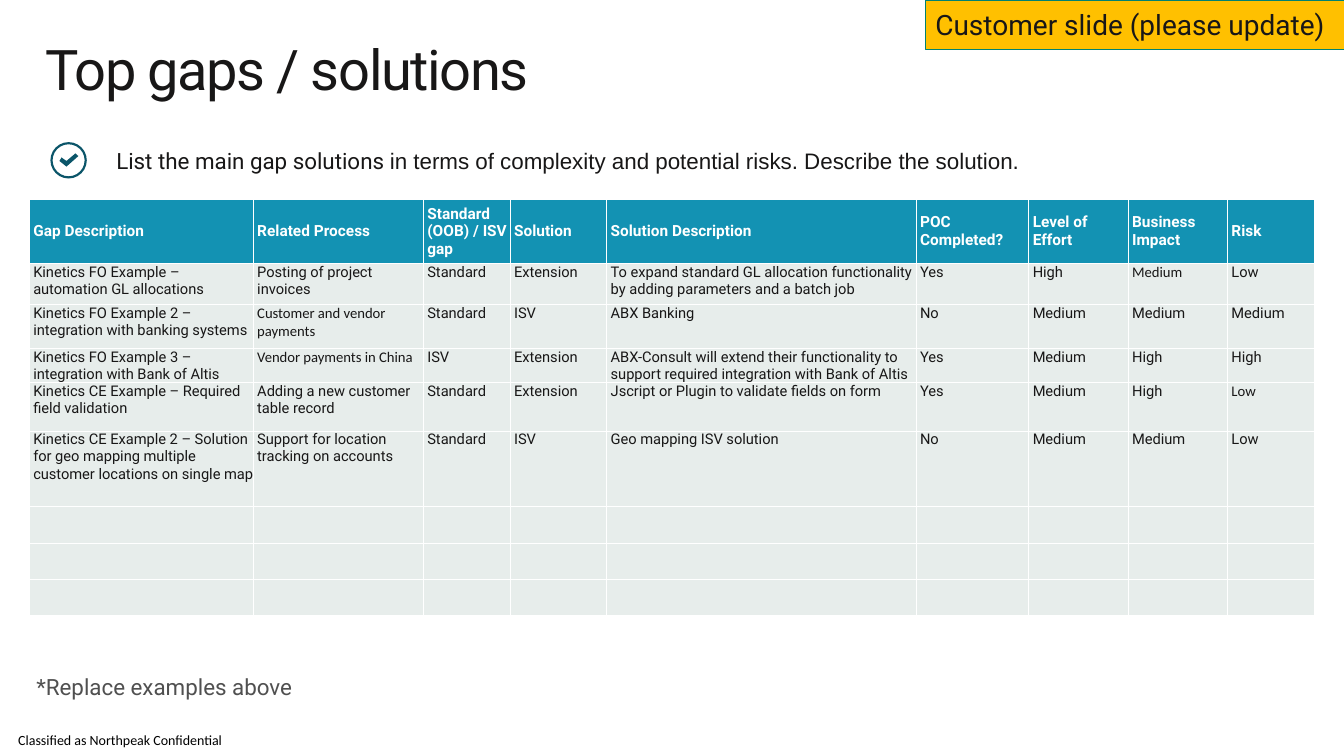
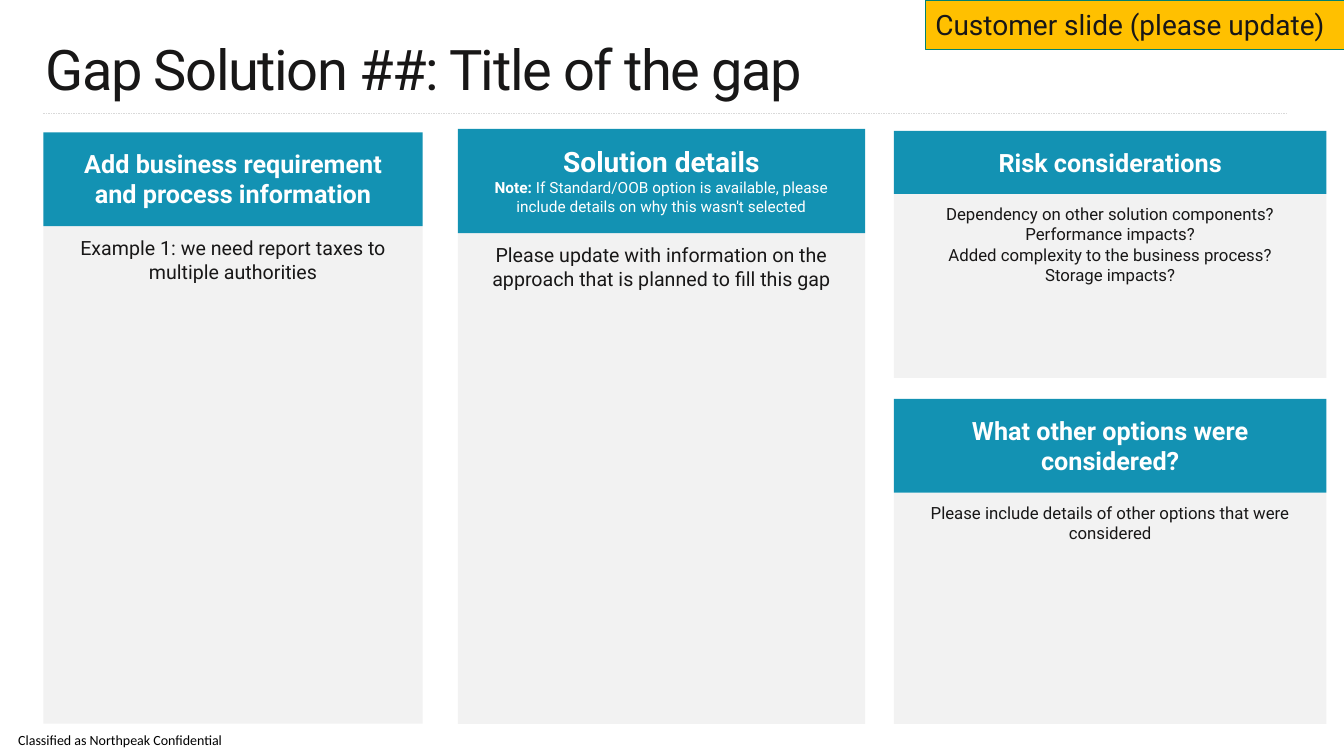
from dataclasses import dataclass

from lxml.etree import SubElement
from pptx import Presentation
from pptx.dml.color import RGBColor as Rgb
from pptx.enum.dml import MSO_LINE as Dash
from pptx.enum.shapes import MSO_CONNECTOR as Connector, MSO_SHAPE as Preset
from pptx.enum.text import MSO_ANCHOR as Anchor, MSO_AUTO_SIZE as AutoSize, PP_ALIGN as Align
from pptx.oxml.ns import qn
from pptx.util import Pt


@dataclass(frozen=True)
class Theme:
    """Colours, fonts and type sizes of the deck."""
    ink: Rgb = Rgb.from_string("181717")
    black: Rgb = Rgb.from_string("000000")
    white: Rgb = Rgb.from_string("FFFFFF")
    grey: Rgb = Rgb.from_string("505050")
    rule: Rgb = Rgb.from_string("D9D9D9")
    teal: Rgb = Rgb.from_string("1392B3")
    dark_teal: Rgb = Rgb.from_string("0B5569")
    badge_fill: Rgb = Rgb.from_string("FFC000")
    badge_edge: Rgb = Rgb.from_string("008272")
    panel: Rgb = Rgb.from_string("F2F2F2")
    cell: Rgb = Rgb.from_string("E7EDEB")
    main_font: str = "Roboto"
    lead_font: str = "Arial"
    small_font: str = "Calibri"
    title: float = 40
    badge: float = 20
    heading_large: float = 20
    heading: float = 18
    lead: float = 16
    body: float = 14
    body_small: float = 12
    note: float = 11
    table_head: float = 11
    table_body: float = 10.5
    footer: float = 10


THEME = Theme()


@dataclass(frozen=True)
class Span:
    """A run of text with its format."""
    text: str
    size: float
    color: Rgb = THEME.ink
    bold: bool = False
    font: str = THEME.main_font


@dataclass(frozen=True)
class Box:
    """A rectangle in points."""
    left: float
    top: float
    width: float
    height: float

    @property
    def emu(self):
        """Give the rectangle as lengths for python-pptx."""
        return Pt(self.left), Pt(self.top), Pt(self.width), Pt(self.height)


def write(frame, paragraphs, align=Align.LEFT, anchor=Anchor.TOP, insets=(7.2, 3.6, 7.2, 3.6), spacing=1.0):
    """Fill a text frame with paragraphs made of spans."""
    frame.word_wrap = True
    frame.auto_size = AutoSize.NONE
    frame.vertical_anchor = anchor
    frame.margin_left, frame.margin_top, frame.margin_right, frame.margin_bottom = map(Pt, insets)
    for index, spans in enumerate(paragraphs):
        paragraph = frame.add_paragraph() if index else frame.paragraphs[0]
        paragraph.alignment = align
        paragraph.line_spacing = spacing
        for span in spans:
            add_span(paragraph, span)


def add_span(paragraph, span):
    """Append one formatted run to a paragraph."""
    run = paragraph.add_run()
    run.text = span.text
    run.font.name = span.font
    run.font.size = Pt(span.size)
    run.font.bold = span.bold
    run.font.color.rgb = span.color


def paint(shape, fill, edge=None):
    """Give a shape a flat fill and an optional hairline."""
    shape.shadow.inherit = False
    shape.fill.solid()
    shape.fill.fore_color.rgb = fill
    if edge is None:
        shape.line.fill.background()
    else:
        shape.line.color.rgb = edge
        shape.line.width = Pt(0.25)


def add_block(slide, box, fill, edge=None, preset=Preset.RECTANGLE):
    """Add a flat preset shape."""
    block = slide.shapes.add_shape(preset, *box.emu)
    paint(block, fill, edge)
    return block


def add_label(slide, box, spans, **layout):
    """Add a one-paragraph text box."""
    write(slide.shapes.add_textbox(*box.emu).text_frame, [spans], **layout)


def add_base_slide(deck, heading):
    """Add a slide with its title, badge and classification footer."""
    slide = deck.slides.add_slide(deck.slide_layouts[5])
    title = slide.shapes.title
    title.left, title.top, title.width, title.height = Box(21, 23, 918, 70).emu
    write(title.text_frame, [[Span(heading, THEME.title)]],
          insets=(11.5, 7.2, 11.5, 7.2), spacing=0.9)
    title.text_frame.paragraphs[0].runs[0].font._element.set("spc", "-100")
    badge = add_block(slide, Box(661, 0, 299, 35), THEME.badge_fill, THEME.badge_edge)
    write(badge.text_frame, [[Span("Customer slide (please update)", THEME.badge)]],
          anchor=Anchor.MIDDLE)
    add_label(slide, Box(13, 519, 167, 21),
              [Span("Classified as Northpeak Confidential", THEME.footer, THEME.black, font=THEME.small_font)],
              anchor=Anchor.MIDDLE, insets=(0, 0, 0, 0), spacing=0.9)
    return slide


def add_lead(slide, box):
    """Add the check icon and the instruction beside it."""
    add_label(slide, Box(box.left + 40, box.top, box.width - 40, box.height),
              [Span("List the main gap solutions ", THEME.lead),
               Span("in terms of complexity and potential risks. Describe the solution.",
                    THEME.lead, font=THEME.lead_font)], anchor=Anchor.MIDDLE)
    ring = Box(box.left, box.top + (box.height - 26) / 2, 26, 26)
    add_block(slide, ring, THEME.dark_teal, preset=Preset.DONUT).adjustments[0] = 0.06
    tick = [(18, 8), (11.5, 13.5), (8, 11), (6.5, 13.5), (11.5, 17.5), (20, 10)]
    corners = [(Pt(ring.left + x), Pt(ring.top + y)) for x, y in tick]
    builder = slide.shapes.build_freeform(*corners[0])
    builder.add_line_segments(corners[1:], close=True)
    paint(builder.convert_to_shape(), THEME.dark_teal)


def format_cell(cell, fill):
    """Fill a cell and draw white borders around it."""
    properties = cell._tc.get_or_add_tcPr()
    for side in ("a:lnL", "a:lnR", "a:lnT", "a:lnB"):
        border = SubElement(properties, qn(side), w=str(Pt(1)))
        SubElement(SubElement(border, qn("a:solidFill")), qn("a:srgbClr"), val=str(THEME.white))
    cell.fill.solid()
    cell.fill.fore_color.rgb = fill


def add_gap_table(slide, box, columns, heights, rows, small_cells):
    """Add the table of gaps; rows without text stay empty."""
    table = slide.shapes.add_table(len(heights), len(columns), *box.emu).table
    for column, (_, width) in zip(table.columns, columns):
        column.width = Pt(width)
    texts = [[name for name, _ in columns], *rows]
    texts += [[""] * len(columns)] * (len(heights) - len(texts))
    for r, (height, row_texts) in enumerate(zip(heights, texts)):
        table.rows[r].height = Pt(height)
        for c, text in enumerate(row_texts):
            cell = table.cell(r, c)
            is_head = r == 0
            format_cell(cell, THEME.cell if r else THEME.teal)
            cell.vertical_anchor = Anchor.MIDDLE if is_head else Anchor.TOP
            cell.margin_left = Pt(2.75)
            cell.margin_top = cell.margin_right = cell.margin_bottom = 0
            if text:
                add_span(cell.text_frame.paragraphs[0], Span(
                    text, THEME.table_head if is_head else THEME.table_body,
                    THEME.white if is_head else THEME.ink, is_head,
                    THEME.small_font if (r, c) in small_cells else THEME.main_font))


def add_panel(slide, box, head_height, heading, body):
    """Add a grey panel with a teal heading band on top."""
    area = add_block(slide, Box(box.left, box.top + head_height, box.width, box.height - head_height), THEME.panel)
    write(area.text_frame, body, Align.CENTER, insets=(7.2, 7.2, 7.2, 3.6))
    band = add_block(slide, Box(box.left, box.top, box.width, head_height), THEME.teal)
    write(band.text_frame, heading, Align.CENTER, insets=(14.4, 11.5, 14.4, 11.5))


def add_rule(slide, left, right, top):
    """Add the dashed line below the title."""
    rule = slide.shapes.add_connector(Connector.STRAIGHT, Pt(left), Pt(top), Pt(right), Pt(top))
    rule.line.color.rgb = THEME.rule
    rule.line.width = Pt(0.25)
    rule.line.dash_style = Dash.DASH
    SubElement(rule._element.spPr, qn("a:effectLst"))


def build_gap_list(deck):
    """Build the slide that lists the gaps."""
    columns = [("Gap Description", 160), ("Related Process", 121.5), ("Standard (OOB) / ISV gap", 62),
               ("Solution", 69), ("Solution Description", 221), ("POC Completed?", 80.5),
               ("Level of Effort", 71), ("Business Impact", 71), ("Risk", 62)]
    heights = [46, 29, 31.5, 24, 34.5, 54, 26, 26, 26]
    rows = [
        ("Kinetics FO Example – automation GL allocations", "Posting of project invoices", "Standard", "Extension",
         "To expand standard GL allocation functionality by adding parameters and a batch job",
         "Yes", "High", "Medium", "Low"),
        ("Kinetics FO Example 2 – integration with banking systems", "Customer and vendor payments",
         "Standard", "ISV", "ABX Banking", "No", "Medium", "Medium", "Medium"),
        ("Kinetics FO Example 3 – integration with Bank of Altis", "Vendor payments in China", "ISV", "Extension",
         "ABX-Consult will extend their functionality to support required integration with Bank of Altis",
         "Yes", "Medium", "High", "High"),
        ("Kinetics CE Example – Required field validation", "Adding a new customer table record",
         "Standard", "Extension", "Jscript or Plugin to validate fields on form", "Yes", "Medium", "High", "Low"),
        ("Kinetics CE Example 2 – Solution for geo mapping multiple customer locations on single map",
         "Support for location tracking on accounts", "Standard", "ISV", "Geo mapping ISV solution",
         "No", "Medium", "Medium", "Low"),
    ]
    slide = add_base_slide(deck, "Top gaps / solutions")
    add_lead(slide, Box(36, 94, 888, 41))
    add_gap_table(slide, Box(21, 142.5, 918, sum(heights)), columns, heights, rows,
                  small_cells={(1, 7), (2, 1), (3, 1), (4, 8)})
    add_label(slide, Box(11.5, 471.5, 337, 41), [Span("*Replace examples above", THEME.lead, THEME.grey)],
              insets=(14.4, 11.5, 14.4, 11.5), spacing=0.9)


def build_gap_solution(deck):
    """Build the slide that details one gap solution."""
    def heading(text, size=THEME.heading, bold=True):
        """Give a white span for a heading band."""
        return Span(text, size, THEME.white, bold)

    risks = ["Dependency on other solution components?", "Performance impacts?",
             "Added complexity to the business process?", "Storage impacts?"]
    panels = [
        (Box(31, 94.5, 271, 422.5), 67, [[heading("Add business requirement and process information")]],
         [[Span("Example 1: we need report taxes to multiple authorities", THEME.body)]]),
        (Box(327, 92, 291, 425), 74.5,
         [[heading("Solution details", THEME.heading_large)],
          [heading("Note: ", THEME.note),
           heading("If Standard/OOB option is available, please include details on why this wasn't selected",
                   THEME.note, False)]],
         [[Span("Please update with information on the approach that is planned to fill this gap", THEME.body)]]),
        (Box(638.5, 93.5, 309, 176.5), 45, [[heading("Risk considerations")]],
         [[Span(risk, THEME.body_small)] for risk in risks]),
        (Box(638.5, 285, 309, 232), 67, [[heading("What other options were considered?")]],
         [[Span("Please include details of other options that were considered", THEME.body_small)]]),
    ]
    slide = add_base_slide(deck, "Gap Solution ##: Title of the gap")
    add_rule(slide, 31, 919, 81)
    for panel in panels:
        add_panel(slide, *panel)


def main():
    """Build the deck and save it."""
    deck = Presentation()
    deck.slide_width, deck.slide_height = Pt(960), Pt(540)
    build_gap_list(deck)
    build_gap_solution(deck)
    deck.save("out.pptx")


if __name__ == "__main__":
    main()
